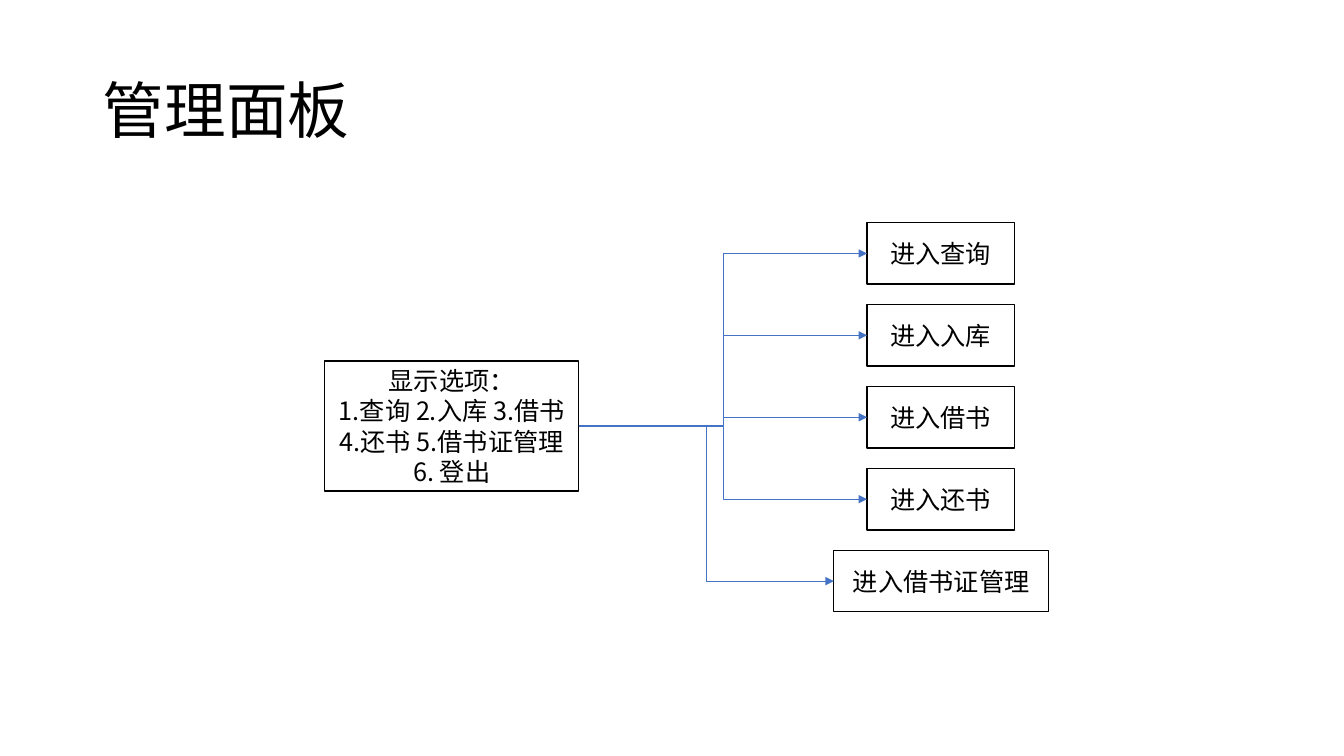
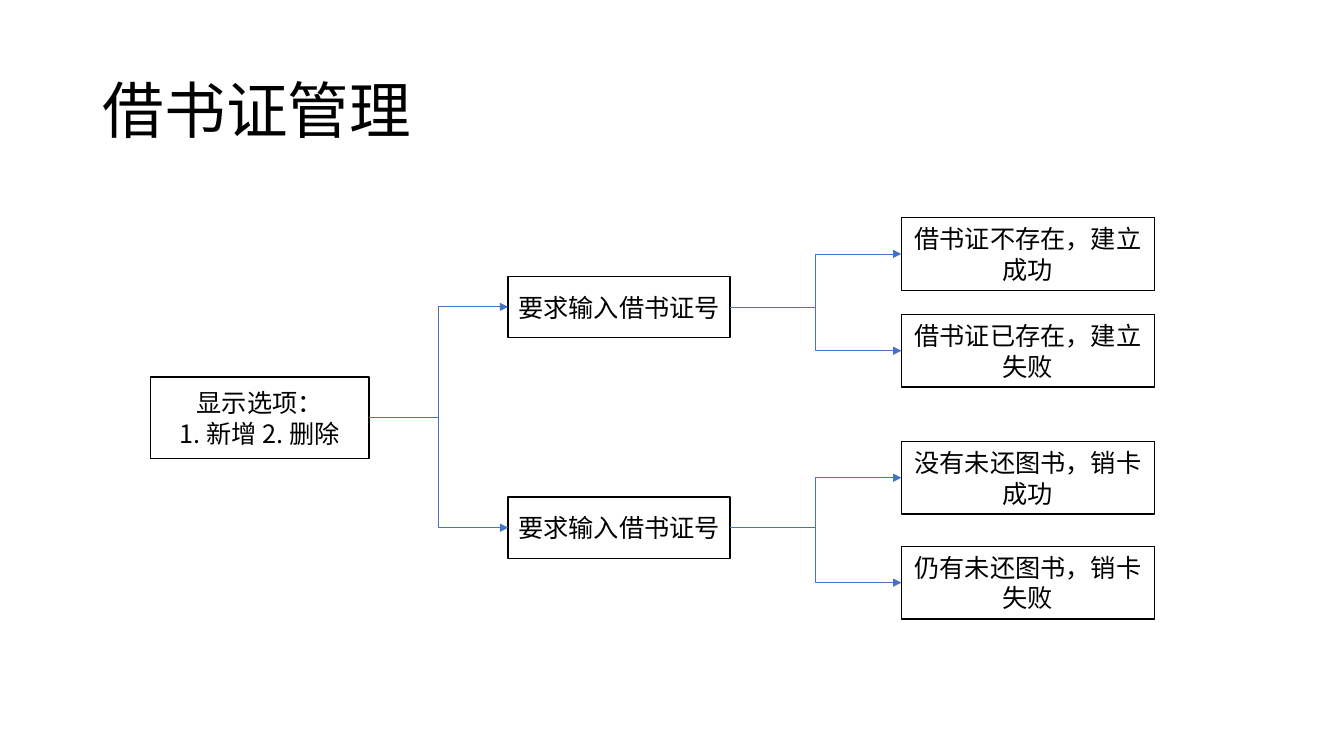
from pptx import Presentation
from pptx import util as u
from pptx.dml import color
from pptx.enum import shapes, text
from pptx.oxml import ns
from lxml import etree


class Theme:
    font = "Noto Sans CJK SC"
    ink = color.RGBColor.from_string("000000")
    paper = color.RGBColor.from_string("FFFFFF")
    link = color.RGBColor.from_string("4472C4")
    head = u.Pt(44)
    body = u.Pt(18)
    edge = u.Pt(1)
    wire = u.Pt(0.5)


def write(frame, lines, size, align):
    frame.word_wrap = True
    frame.auto_size = text.MSO_AUTO_SIZE.NONE
    frame.vertical_anchor = text.MSO_ANCHOR.MIDDLE
    for i, line in enumerate(lines):
        para = frame.add_paragraph() if i else frame.paragraphs[0]
        para.alignment = align
        run = para.add_run()
        run.text = line
        run.font.size = size
        run.font.name = Theme.font
        run.font.color.rgb = Theme.ink
        etree.SubElement(run.font._element, ns.qn("a:ea"), typeface=Theme.font)


step = 0.8125
tasks = ["进入查询", "进入入库", "进入借书", "进入还书"]
panel = {"menu": (3.22, 3.58, 2.52, 1.29, ["显示选项：", "1.查询 2.入库 3.借书 4.还书 5.借书证管理 6. 登出"])}
for i, task in enumerate(tasks):
    panel[task] = (8.6, 2.21 + i * step, 1.46, 0.61, [task])
panel["cards"] = (8.27, 2.21 + len(tasks) * step, 2.13, 0.61, ["进入借书证管理"])
panel_links = [("menu", name) for name in panel if name != "menu"]

cards = {"menu": (1.49, 3.74, 2.17, 0.81, ["显示选项：", "1. 新增 2. 删除"])}
cards_links = []
branches = [
    ("add", 2.74, [(2.16, "借书证不存在，建立成功"), (3.12, "借书证已存在，建立失败")]),
    ("drop", 4.93, [(4.38, "没有未还图书，销卡成功"), (5.42, "仍有未还图书，销卡失败")]),
]
for name, top, ends in branches:
    cards[name] = (5.04, top, 2.2, 0.61, ["要求输入借书证号"])
    cards_links.append(("menu", name))
    for y, end in ends:
        cards[end] = (8.94, y, 2.51, 0.72, [end])
        cards_links.append((name, end))

deck = Presentation()
deck.slide_width = u.Inches(13.33)
deck.slide_height = u.Inches(7.5)

for heading, nodes, links in [("管理面板", panel, panel_links), ("借书证管理", cards, cards_links)]:
    slide = deck.slides.add_slide(deck.slide_layouts[5])
    title = slide.shapes.title
    title.left, title.top, title.width, title.height = map(u.Inches, (0.92, 0.4, 11.5, 1.45))
    write(title.text_frame, [heading], Theme.head, text.PP_ALIGN.LEFT)
    title.text_frame.paragraphs[0].line_spacing = 0.9

    boxes = {}
    for name, (*place, lines) in nodes.items():
        box = slide.shapes.add_shape(shapes.MSO_SHAPE.RECTANGLE, *map(u.Inches, place))
        box.shadow.inherit = False
        box.fill.solid()
        box.fill.fore_color.rgb = Theme.paper
        box.line.color.rgb = Theme.ink
        box.line.width = Theme.edge
        write(box.text_frame, lines, Theme.body, text.PP_ALIGN.CENTER)
        boxes[name] = box

    for start, end in links:
        wire = slide.shapes.add_connector(shapes.MSO_CONNECTOR.ELBOW, 0, 0, 0, 0)
        wire.begin_connect(boxes[start], 3)
        wire.end_connect(boxes[end], 1)
        wire.line.color.rgb = Theme.link
        wire.line.width = Theme.wire
        etree.SubElement(wire.line._get_or_add_ln(), ns.qn("a:tailEnd"), type="triangle")
        etree.SubElement(wire._element.spPr, ns.qn("a:effectLst"))

deck.save("out.pptx")
